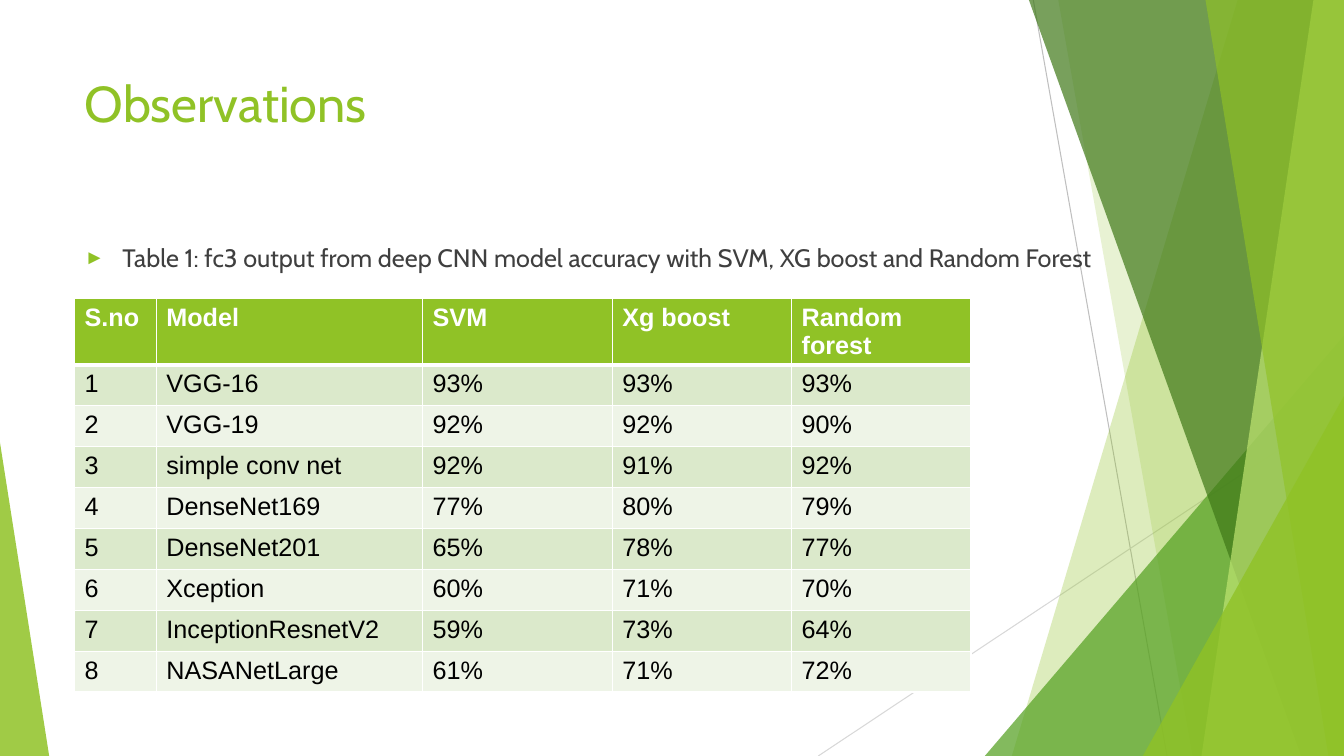
"""Build the Observations slide: classifier accuracy per deep CNN model."""
from lxml.etree import SubElement
from pptx import Presentation
from pptx.dml.color import RGBColor
from pptx.enum.shapes import MSO_CONNECTOR, MSO_SHAPE
from pptx.enum.text import MSO_ANCHOR, MSO_AUTO_SIZE, PP_ALIGN
from pptx.oxml.ns import qn
from pptx.util import Cm, Pt

COLOURS = {
    "lime": "90C226",
    "green": "54A021",
    "forest": "3F7818",
    "pale lime": "BFE471",
    "dark line": "BFBFBF",
    "light line": "D8D8D8",
    "caption": "3F3F3F",
    "black": "000000",
    "white": "FFFFFF",
    "odd row": "DBE9CB",
    "even row": "EEF4E7",
}
WIDTH, HEIGHT = 33.87, 19.05


def rgb(name):
    return RGBColor.from_string(COLOURS[name])


def write(frame, text, size=18, font="Arial", colour="black", bold=False):
    frame.word_wrap = True
    frame.vertical_anchor = MSO_ANCHOR.TOP
    paragraph = frame.paragraphs[0]
    paragraph.alignment = PP_ALIGN.LEFT
    paragraph.space_before = Pt(0)
    run = paragraph.add_run()
    run.text = text
    run.font.size = Pt(size)
    run.font.name = font
    run.font.bold = bold
    run.font.color.rgb = rgb(colour)
    return paragraph


deck = Presentation()
deck.slide_width, deck.slide_height = Cm(WIDTH), Cm(HEIGHT)
slide = deck.slides.add_slide(deck.slide_layouts[1])
shapes = slide.shapes
heading, caption = slide.placeholders

for x1, y1, x2, y2, colour in [
    (26.04, 0, 29.41, HEIGHT, "dark line"),
    (WIDTH, 10.24, 20.62, HEIGHT, "light line"),
]:
    ray = shapes.add_connector(MSO_CONNECTOR.STRAIGHT, Cm(x1), Cm(y1), Cm(x2), Cm(y2))
    ray.line.color.rgb = rgb(colour)
    ray.line.width = Pt(0.75)
    SubElement(ray.element.spPr, qn("a:effectLst"))

# Facets give top x and bottom x; triangles give left, top, width and apex.
for kind, geometry, colour, opacity in [
    ("facet", (31.19, 25.5), "lime", 30),
    ("facet", (26.67, 30.05), "lime", 20),
    ("triangle", (24.82, 8.46, 9.05, 1), "green", 72),
    ("facet", (25.93, 32.79), "forest", 70),
    ("facet", (33.1, 30.28), "pale lime", 70),
    ("facet", (30.38, 33.48), "lime", 65),
    ("triangle", (28.8, 9.98, 5.07, 1), "lime", 80),
    ("triangle", (0, 11.15, 1.24, 0), "lime", 85),
]:
    if kind == "facet":
        top_x, bottom_x = geometry
        outline = shapes.build_freeform(Cm(top_x), 0)
        outline.add_line_segments(
            [(Cm(WIDTH), 0), (Cm(WIDTH), Cm(HEIGHT)), (Cm(bottom_x), Cm(HEIGHT))]
        )
        pane = outline.convert_to_shape()
    else:
        left, top, width, apex = geometry
        pane = shapes.add_shape(
            MSO_SHAPE.ISOSCELES_TRIANGLE, Cm(left), Cm(top), Cm(width), Cm(HEIGHT - top)
        )
        pane.adjustments[0] = apex
    pane.shadow.inherit = False
    pane.line.fill.background()
    pane.fill.solid()
    pane.fill.fore_color.rgb = rgb(colour)
    tint = pane.element.spPr.find(f".//{qn('a:srgbClr')}")
    SubElement(tint, qn("a:alpha"), val=str(opacity * 1000))

for holder, top, width, height in [(heading, 1.7, 23.88, 3.66), (caption, 5.99, 27.76, 10.77)]:
    holder.left, holder.top = Cm(1.88), Cm(top)
    holder.width, holder.height = Cm(width), Cm(height)
    holder.text_frame.auto_size = MSO_AUTO_SIZE.NONE
    holder.element.getparent().append(holder.element)

write(heading.text_frame, "Observations", size=36, font="Cabin", colour="lime")
caption_line = write(
    caption.text_frame,
    "Table 1: fc3 output from deep CNN model accuracy with SVM, XG boost and Random Forest",
    font="Cabin",
    colour="caption",
)
bullet = caption_line._p.get_or_add_pPr()
bullet.set("marL", str(Cm(0.95)))
bullet.set("indent", str(-Cm(0.95)))
SubElement(SubElement(bullet, qn("a:buClr")), qn("a:srgbClr"), val=COLOURS["lime"])
SubElement(bullet, qn("a:buSzPct"), val="80000")
SubElement(bullet, qn("a:buFont"), typeface="Arial")
SubElement(bullet, qn("a:buChar"), char="►")

accuracies = [
    ("S.no", "Model", "SVM", "Xg boost", "Random forest"),
    ("1", "VGG-16", "93%", "93%", "93%"),
    ("2", "VGG-19", "92%", "92%", "90%"),
    ("3", "simple conv net", "92%", "91%", "92%"),
    ("4", "DenseNet169", "77%", "80%", "79%"),
    ("5", "DenseNet201", "65%", "78%", "77%"),
    ("6", "Xception", "60%", "71%", "70%"),
    ("7", "InceptionResnetV2", "59%", "73%", "64%"),
    ("8", "NASANetLarge", "61%", "71%", "72%"),
]
column_widths = [2.06, 6.71, 4.78, 4.52, 4.52]
row_height = 1.03
results = shapes.add_table(
    len(accuracies), len(column_widths), Cm(1.88), Cm(7.52),
    Cm(sum(column_widths)), Cm(row_height * len(accuracies)),
).table
for column, width in zip(results.columns, column_widths):
    column.width = Cm(width)

for row_index, values in enumerate(accuracies):
    is_header = row_index == 0
    band = "lime" if is_header else "odd row" if row_index % 2 else "even row"
    for column_index, value in enumerate(values):
        cell = results.cell(row_index, column_index)
        write(cell.text_frame, value, colour="white" if is_header else "black", bold=is_header)
        cell_format = cell._tc.get_or_add_tcPr()
        for side in "LRTB":
            thick = (is_header and side == "B") or (row_index == 1 and side == "T")
            border = SubElement(cell_format, qn(f"a:ln{side}"), w=str(Pt(3 if thick else 1)))
            paint = SubElement(border, qn("a:solidFill"))
            SubElement(paint, qn("a:srgbClr"), val=COLOURS["white"])
        cell.fill.solid()
        cell.fill.fore_color.rgb = rgb(band)

deck.save("out.pptx")
